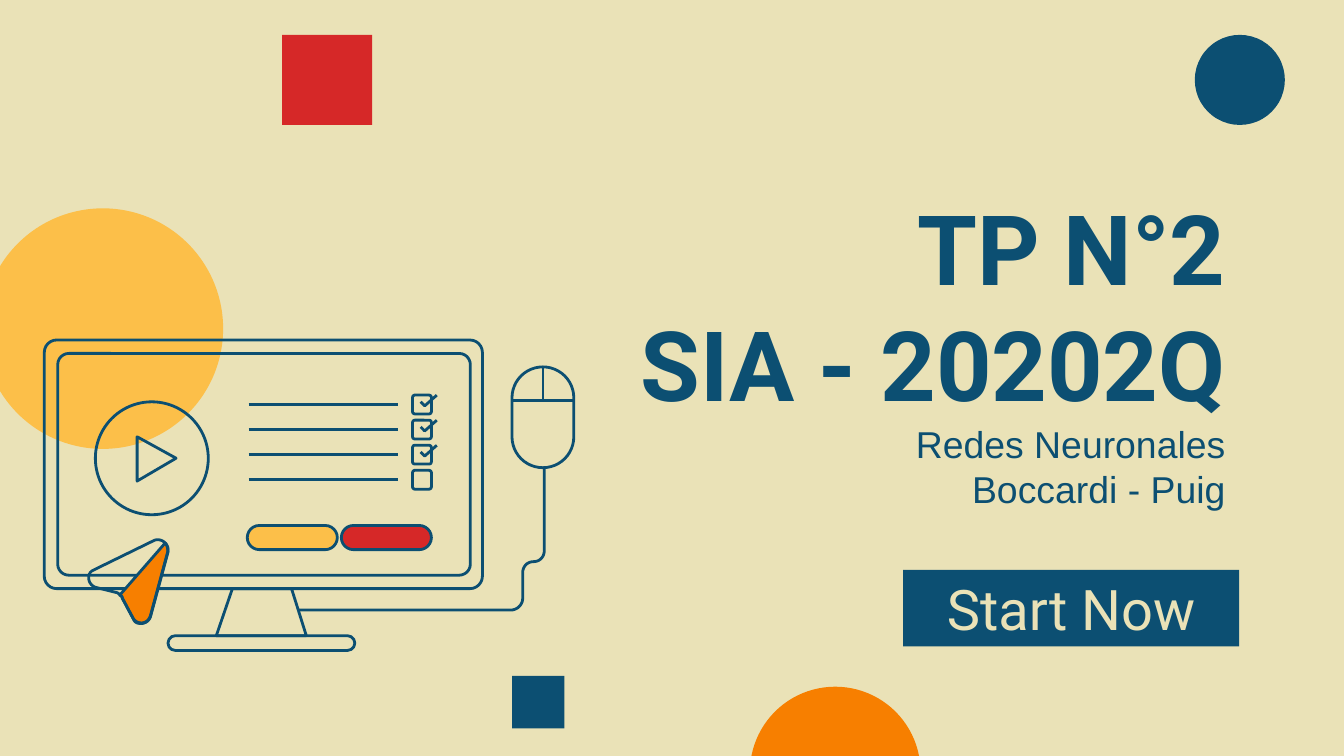
from dataclasses import dataclass
from typing import Optional

from lxml import etree
from pptx import Presentation
from pptx import util as u
from pptx.dml.color import RGBColor
from pptx.enum import shapes, text
from pptx.oxml.ns import qn

CREAM = RGBColor(0xEA, 0xE2, 0xB7)
NAVY = RGBColor(0x0C, 0x4F, 0x72)
RED = RGBColor(0xD6, 0x28, 0x28)
YELLOW = RGBColor(0xFC, 0xBF, 0x49)
ORANGE = RGBColor(0xF7, 0x7F, 0x00)
RECTANGLE = shapes.MSO_SHAPE.RECTANGLE
OVAL = shapes.MSO_SHAPE.OVAL
ROUNDED = shapes.MSO_SHAPE.ROUNDED_RECTANGLE
SLIDE_WIDTH = u.Inches(10)
SLIDE_HEIGHT = u.Inches(10 * 9 / 16)
CURVE_STEPS = 10
CHECKLIST_ROWS = 4
CHECKLIST_PITCH = 0.56 / (CHECKLIST_ROWS - 1)


@dataclass(frozen=True)
class Block:
    kind: shapes.MSO_SHAPE
    left: float
    top: float
    width: float
    height: float
    fill: Optional[RGBColor] = None
    outlined: bool = False
    rounding: float = 0.5


@dataclass(frozen=True)
class Outline:
    start: tuple
    segments: list
    closed: bool = True
    fill: Optional[RGBColor] = None


@dataclass(frozen=True)
class TextLine:
    wording: str
    font: str
    size: int
    bold: bool


def style(shape, fill: Optional[RGBColor], outlined: bool) -> None:
    shape.shadow.inherit = False
    if fill is None:
        shape.fill.background()
    else:
        shape.fill.solid()
        shape.fill.fore_color.rgb = fill
    if outlined:
        shape.line.color.rgb = NAVY
        shape.line.width = u.Pt(1.5)
    else:
        shape.line.fill.background()


def draw_block(slide, block: Block):
    shape = slide.shapes.add_shape(
        block.kind, u.Inches(block.left), u.Inches(block.top),
        u.Inches(block.width), u.Inches(block.height))
    if block.kind == ROUNDED:
        shape.adjustments[0] = block.rounding
    style(shape, block.fill, block.outlined)
    return shape


def curve_points(start: tuple, curve: tuple) -> list:
    controls = [start, curve[:2], curve[2:4], curve[4:]]
    points = []
    for step in range(1, CURVE_STEPS + 1):
        t = step / CURVE_STEPS
        weights = ((1 - t) ** 3, 3 * t * (1 - t) ** 2, 3 * t * t * (1 - t), t ** 3)
        points.append(tuple(
            sum(weight * control[axis] for weight, control in zip(weights, controls))
            for axis in (0, 1)))
    return points


def draw_outline(slide, outline: Outline) -> None:
    points = [outline.start]
    for segment in outline.segments:
        points += [segment] if len(segment) == 2 else curve_points(points[-1], segment)
    emu = [(u.Inches(x), u.Inches(y)) for x, y in points]
    builder = slide.shapes.build_freeform(*emu[0])
    builder.add_line_segments(emu[1:], close=outline.closed)
    style(builder.convert_to_shape(), outline.fill, True)


def draw_line(slide, x1: float, y1: float, x2: float, y2: float) -> None:
    line = slide.shapes.add_connector(
        shapes.MSO_CONNECTOR.STRAIGHT,
        u.Inches(x1), u.Inches(y1), u.Inches(x2), u.Inches(y2))
    line.line.color.rgb = NAVY
    line.line.width = u.Pt(1.5)
    etree.SubElement(line._element.spPr, qn("a:effectLst"))


def set_frame(frame, anchor: text.MSO_ANCHOR) -> None:
    frame.word_wrap = True
    frame.auto_size = text.MSO_AUTO_SIZE.NONE
    frame.vertical_anchor = anchor
    frame.margin_left = frame.margin_right = u.Inches(0.1)
    frame.margin_top = frame.margin_bottom = u.Inches(0.1)


def set_paragraph(paragraph, line: TextLine, color: RGBColor,
                  alignment: text.PP_ALIGN) -> None:
    paragraph.text = line.wording
    paragraph.alignment = alignment
    paragraph.font.name = line.font
    paragraph.font.size = u.Pt(line.size)
    paragraph.font.bold = line.bold
    paragraph.font.color.rgb = color


def draw_title(slide, lines: list) -> None:
    title = slide.shapes.title
    title.left, title.top = u.Inches(4.25), u.Inches(1.08)
    title.width, title.height = u.Inches(4.97), u.Inches(2.82)
    frame = title.text_frame
    set_frame(frame, text.MSO_ANCHOR.BOTTOM)
    for index, line in enumerate(lines):
        paragraph = frame.add_paragraph() if index else frame.paragraphs[0]
        set_paragraph(paragraph, line, NAVY, text.PP_ALIGN.RIGHT)


def draw_checklist(slide) -> None:
    for row in range(CHECKLIST_ROWS):
        top = 2.94 + row * CHECKLIST_PITCH
        draw_block(slide, Block(ROUNDED, 3.07, top, 0.14, 0.14, None, True, 0.12))
        draw_line(slide, 1.85, top + 0.07, 2.96, top + 0.07)
        if row < CHECKLIST_ROWS - 1:
            draw_outline(slide, Outline(
                (3.13, top + 0.05), [(3.16, top + 0.08), (3.25, top)], closed=False))


DECORATIONS = [
    Block(OVAL, 5.58, 5.11, 1.27, 1.27, ORANGE),
    Block(RECTANGLE, 2.1, 0.26, 0.67, 0.67, RED),
    Block(RECTANGLE, 3.81, 5.03, 0.39, 0.39, NAVY),
    Block(OVAL, 8.89, 0.26, 0.67, 0.67, NAVY),
    Block(OVAL, -0.13, 1.55, 1.79, 1.79, YELLOW),
]
COMPUTER = [
    Block(ROUNDED, 0.43, 2.63, 3.07, 1.65, None, True, 0.05),
    Block(ROUNDED, 0.33, 2.53, 3.26, 1.85, None, True, 0.05),
    Block(OVAL, 0.71, 2.99, 0.84, 0.84, None, True),
    Block(ROUNDED, 2.54, 3.91, 0.67, 0.18, RED, True),
    Block(ROUNDED, 1.84, 3.91, 0.67, 0.18, YELLOW, True),
    Block(ROUNDED, 3.81, 2.73, 0.46, 0.75, None, True),
    Block(ROUNDED, 1.25, 4.73, 1.39, 0.11, None, True),
]
STAND = Outline((2.28, 4.73), [(2.17, 4.38), (1.73, 4.38), (1.61, 4.73)])
PLAY_ARROW = Outline((1.31, 3.41), [(1.02, 3.25), (1.02, 3.58)])
CURSOR_WING = Outline((1.23, 4.04), [
    (1.24, 4.05, 1.25, 4.08, 1.25, 4.11), (1.12, 4.59),
    (1.11, 4.62, 1.08, 4.64, 1.05, 4.64), (1.02, 4.64, 1, 4.63, 0.99, 4.6),
    (0.91, 4.45), (0.91, 4.44, 0.9, 4.43, 0.89, 4.43)], fill=ORANGE)
CURSOR = Outline((0.7, 4.24), [
    (1.15, 4.02), (1.2, 4, 1.26, 4.05, 1.25, 4.1), (1.12, 4.58),
    (1.1, 4.65, 1.02, 4.65, 0.99, 4.6), (0.91, 4.45),
    (0.91, 4.44, 0.9, 4.43, 0.89, 4.42), (0.88, 4.42, 0.88, 4.41, 0.87, 4.41),
    (0.71, 4.37), (0.65, 4.35, 0.64, 4.26, 0.7, 4.24)])
CABLE = Outline((4.05, 3.48), [
    (4.05, 4.1), (4.05, 4.14, 4.02, 4.18, 3.97, 4.18),
    (3.92, 4.18, 3.89, 4.22, 3.89, 4.26), (3.89, 4.45),
    (3.89, 4.5, 3.85, 4.54, 3.8, 4.54), (2.22, 4.54)], closed=False)
TITLE_LINES = [
    TextLine("TP N°2", "Roboto", 52, True),
    TextLine("SIA - 20202Q", "Roboto", 52, True),
    TextLine("Redes Neuronales", "Arial", 20, False),
    TextLine("Boccardi - Puig", "Arial", 20, False),
]
BUTTON_LINE = TextLine("Start Now", "Roboto", 30, False)


def main() -> None:
    presentation = Presentation()
    presentation.slide_width, presentation.slide_height = SLIDE_WIDTH, SLIDE_HEIGHT
    slide = presentation.slides.add_slide(presentation.slide_layouts[5])
    slide.background.fill.solid()
    slide.background.fill.fore_color.rgb = CREAM
    draw_title(slide, TITLE_LINES)
    for block in DECORATIONS + COMPUTER:
        draw_block(slide, block)
    draw_checklist(slide)
    for outline in (STAND, CURSOR_WING, CURSOR, PLAY_ARROW, CABLE):
        draw_outline(slide, outline)
    draw_line(slide, 3.81, 2.98, 4.27, 2.98)
    draw_line(slide, 4.04, 2.73, 4.04, 2.97)
    button = draw_block(slide, Block(RECTANGLE, 6.72, 4.24, 2.5, 0.57, NAVY))
    set_frame(button.text_frame, text.MSO_ANCHOR.MIDDLE)
    set_paragraph(button.text_frame.paragraphs[0], BUTTON_LINE, CREAM, text.PP_ALIGN.CENTER)
    presentation.save("out.pptx")


if __name__ == "__main__":
    main()
